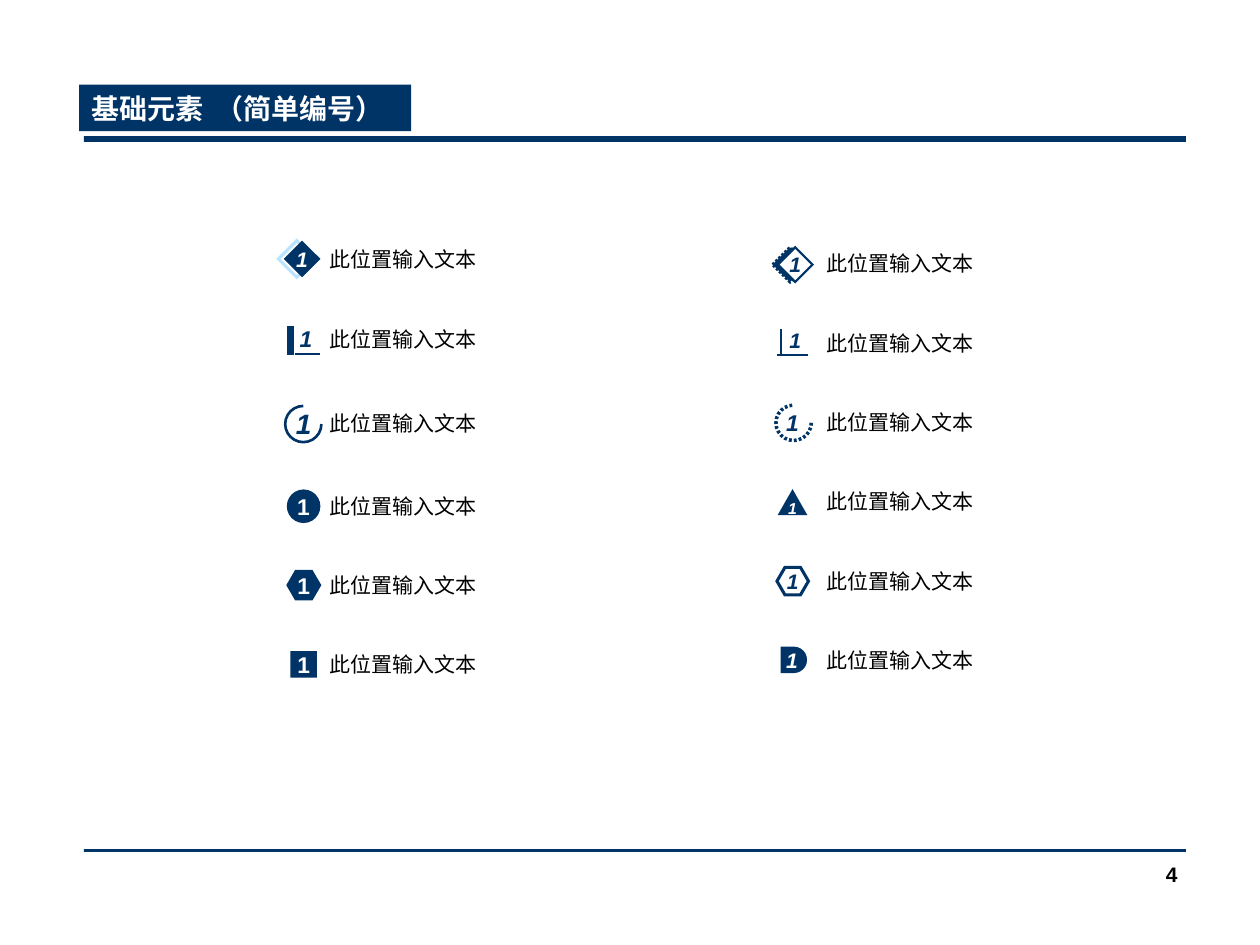
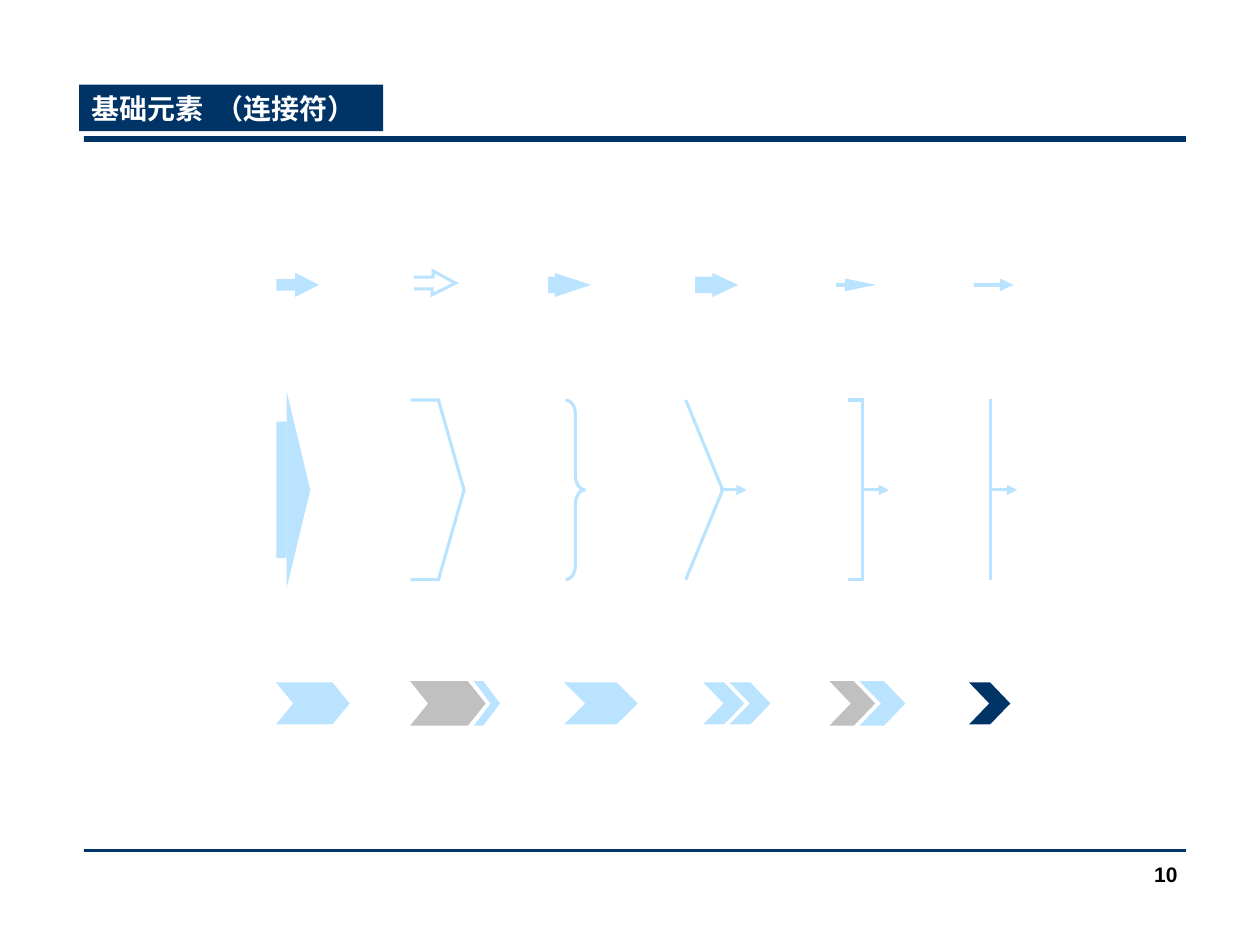
import dataclasses

import lxml.etree
import pptx
import pptx.dml.color
import pptx.enum.shapes
import pptx.enum.text
import pptx.oxml.ns
import pptx.util

Pt = pptx.util.Pt
qn = pptx.oxml.ns.qn
Kind = pptx.enum.shapes.MSO_SHAPE
Align = pptx.enum.text.PP_ALIGN
Anchor = pptx.enum.text.MSO_ANCHOR


@dataclasses.dataclass(frozen=True)
class Theme:
    navy: str = "003366"
    sky: str = "B9E3FF"
    gray: str = "C0C0C0"
    white: str = "FFFFFF"
    black: str = "000000"
    font: str = "Arial"
    title: int = 16
    body: int = 12
    mark: int = 13
    large: int = 16
    tiny: int = 9
    stroke: float = 1.75


THEME = Theme()
LABEL = "此位置输入文本"


def tint(code):
    return pptx.dml.color.RGBColor.from_string(code)


def paint(shape, fill=None, line=None, width=THEME.stroke, dots=False):
    shape.shadow.inherit = False
    if fill:
        shape.fill.solid()
        shape.fill.fore_color.rgb = tint(fill)
    else:
        shape.fill.background()
    if line:
        shape.line.color.rgb = tint(line)
        shape.line.width = Pt(width)
        edge = shape._element.spPr.find(qn("a:ln"))
        if dots:
            dash = lxml.etree.SubElement(edge, qn("a:custDash"))
            lxml.etree.SubElement(dash, qn("a:ds"), d="80000", sp="60000")
        lxml.etree.SubElement(edge, qn("a:miter"), lim="800000")
    else:
        shape.line.fill.background()


def write(shape, text, size, color, bold=True, slant=False, align=Align.LEFT,
          anchor=Anchor.TOP, wrap=False, pad=3.6, stop=None):
    frame = shape.text_frame
    frame.text = text
    frame.word_wrap = wrap
    frame.vertical_anchor = anchor
    frame.margin_left = frame.margin_right = Pt(7.2)
    frame.margin_top = frame.margin_bottom = Pt(pad)
    para = frame.paragraphs[0]
    para.alignment = align
    if stop:
        tabs = lxml.etree.SubElement(para._p.get_or_add_pPr(), qn("a:tabLst"))
        lxml.etree.SubElement(tabs, qn("a:tab"), pos=str(Pt(stop)), algn="l")
    for run in para.runs:
        run.font.name = THEME.font
        run.font.size = Pt(size)
        run.font.bold = bold
        run.font.italic = slant
        run.font.color.rgb = tint(color)


def block(slide, kind, box, fill=None, line=None, width=THEME.stroke,
          dots=False, shape_by=(), turn=0):
    shape = slide.shapes.add_shape(kind, *map(Pt, box))
    for index, value in enumerate(shape_by):
        shape.adjustments[index] = value
    shape.rotation = turn
    paint(shape, fill, line, width, dots)
    return shape


def badge(slide, kind, box, size=THEME.body, color=THEME.white, slant=True,
          pad=3.6, **look):
    shape = block(slide, kind, box, **look)
    write(shape, "1", size, color, slant=slant, align=Align.CENTER,
          anchor=Anchor.MIDDLE, pad=pad)


def note(slide, box, text, size, color, **style):
    write(slide.shapes.add_textbox(*map(Pt, box)), text, size, color, **style)


def digit(slide, box, size):
    note(slide, box, "1", size, THEME.navy, slant=True, wrap=True)


def label(slide, left, top):
    note(slide, (left, top, 100, 21.6), LABEL, THEME.body, THEME.black,
         bold=False, align=Align.RIGHT)


def rule(slide, start, end, color, width=THEME.stroke, arrow=False):
    line = slide.shapes.add_connector(
        pptx.enum.shapes.MSO_CONNECTOR.STRAIGHT, *map(Pt, start + end))
    line.line.color.rgb = tint(color)
    line.line.width = Pt(width)
    props = line._element.spPr
    if arrow:
        lxml.etree.SubElement(props.find(qn("a:ln")), qn("a:tailEnd"),
                              type="triangle")
    lxml.etree.SubElement(props, qn("a:effectLst"))


def trace(slide, points, close=False, **look):
    spots = [(Pt(x), Pt(y)) for x, y in points]
    pen = slide.shapes.build_freeform(*spots[0], scale=1.0)
    pen.add_line_segments(spots[1:], close=close)
    paint(pen.convert_to_shape(), **look)


def chevron(slide, left, width, depth, fill, line=None):
    top, mid, base = 390, 402, 413.9
    right = left + width
    trace(slide, [(left, top), (right - depth, top), (right, mid),
                  (right - depth, base), (left, base), (left + depth, mid)],
          close=True, fill=fill, line=line, width=1.5)


def frame(deck, title, width, number):
    slide = deck.slides.add_slide(deck.slide_layouts[6])
    for top, height in ((77.8, 3.3), (485.2, 1.6)):
        block(slide, Kind.RECTANGLE, (48, top, 629.7, height), THEME.navy)
    head = block(slide, Kind.RECTANGLE, (45.2, 48.4, width, 26.5), THEME.navy)
    write(head, title, THEME.title, THEME.white, pad=4.1, stop=71)
    note(slide, (530, 488.6, 150, 36), number, THEME.body, THEME.black,
         align=Align.RIGHT, wrap=True)
    return slide


def left_marks(slide):
    navy = THEME.navy
    block(slide, Kind.DIAMOND, (159.1, 137.5, 20.9, 20.9), line=THEME.sky)
    badge(slide, Kind.DIAMOND, (162.2, 137.5, 20.9, 20.9), fill=navy)
    digit(slide, (164.2, 182.2, 18.7, 23), THEME.mark)
    rule(slide, (166.2, 186.5), (166.2, 203), navy, 4)
    rule(slide, (168.7, 202.5), (182.8, 202.5), navy, 1)
    block(slide, Kind.ARC, (163, 232, 20.7, 20.7), line=navy, width=1.5,
          shape_by=(0, 162))
    digit(slide, (162, 228.6, 23, 26.6), THEME.large)
    plain = dict(size=THEME.mark, slant=False, fill=navy)
    badge(slide, Kind.OVAL, (164.4, 280.2, 18.2, 18.2), line=navy, width=1,
          **plain)
    badge(slide, Kind.HEXAGON, (164.6, 326.5, 18, 15.8), line=navy,
          shape_by=(0.29,), **plain)
    badge(slide, Kind.RECTANGLE, (166, 372.1, 15.1, 15.1), **plain)


def right_marks(slide):
    navy, white = THEME.navy, THEME.white
    block(slide, Kind.DIAMOND, (441.5, 141.3, 19.8, 19.8), navy, navy,
          dots=True)
    badge(slide, Kind.DIAMOND, (444.5, 141.3, 19.8, 19.8), color=navy,
          fill=white, line=navy, width=1.25)
    rule(slide, (446.5, 188), (446.5, 203), navy, 1)
    rule(slide, (444.2, 203), (461.5, 203), navy, 1)
    badge(slide, Kind.RECTANGLE, (447.6, 187.7, 13.7, 13.7), color=navy,
          fill=white, line=white, width=0.75)
    block(slide, Kind.ARC, (443.4, 231.5, 20.2, 20.2), line=navy, width=2,
          dots=True, shape_by=(0, 162))
    digit(slide, (442.1, 229.9, 21.6, 23), THEME.mark)
    badge(slide, Kind.ISOSCELES_TRIANGLE, (444.4, 279.5, 17, 14.9),
          size=THEME.tiny, pad=1.4, fill=navy)
    badge(slide, Kind.HEXAGON, (444, 324.2, 18, 15.8), color=navy,
          fill=white, line=navy, shape_by=(0.29,))
    badge(slide, Kind.FLOWCHART_DELAY, (446.1, 369.5, 15.1, 15.1), fill=navy)


def arrows(slide):
    sky, mid = THEME.sky, 162.8
    for left, width, height, shaft, tip in (
            (157.9, 24.5, 13.7, 0.49, 1), (313.3, 24.5, 13.7, 0.69, 1.51),
            (397.3, 24.5, 13.7, 0.69, 1.07), (477.8, 22.8, 7.3, 0.32, 2.43),
            (556.4, 22.8, 7.3, 0.31, 1.07)):
        block(slide, Kind.RIGHT_ARROW, (left, mid - height / 2, width, height),
              sky, shape_by=(shaft, tip))
    trace(slide, [(236.5, 158.4), (247.5, 158.4), (247.5, 154.8),
                  (260.3, 161.8), (247, 168.5), (247, 165.1),
                  (236.5, 165.1)], line=sky)


def joins(slide):
    sky, top, mid, base = THEME.sky, 228.6, 280, 331.2
    block(slide, Kind.ISOSCELES_TRIANGLE, (114.4, 273.2, 112.3, 13.5), sky,
          turn=90)
    block(slide, Kind.RECTANGLE, (157.9, 241, 6, 78), sky)
    trace(slide, [(234.7, top), (250.6, top), (265.2, mid), (250.6, base),
                  (234.7, base)], line=sky)
    block(slide, Kind.RIGHT_BRACE, (323.2, top, 11.2, base - top), line=sky,
          shape_by=(0.72, 0.5))
    trace(slide, [(391.9, top), (413, mid), (391.9, base)], line=sky)
    trace(slide, [(484.6, top), (492.8, top), (492.8, base), (484.6, base)],
          line=sky)
    rule(slide, (566, top - 0.4), (566, base), sky)
    for left in (411.4, 492.8, 566):
        rule(slide, (left, mid), (left + 15.3, mid), sky, arrow=True)


def chevrons(slide):
    sky, gray = THEME.sky, THEME.gray
    for left, width, depth, fill, edge in (
            (157.8, 42, 9.8, sky, None), (236, 40.6, 9.6, gray, gray),
            (272.3, 12.5, 9, sky, sky), (322.4, 42, 12, sky, None),
            (402, 23.3, 11.5, sky, None), (417, 23.3, 11.5, sky, None),
            (475.8, 23.3, 11.5, gray, gray), (493, 23.3, 11.5, sky, sky),
            (553.8, 23.5, 11.5, THEME.navy, None)):
        chevron(slide, left, width, depth, fill, edge)


def main():
    deck = pptx.Presentation()
    deck.slide_width, deck.slide_height = Pt(720), Pt(540)
    slide = frame(deck, "基础元素\t（简单编号）", 189.8, "4")
    left_marks(slide)
    right_marks(slide)
    for row, top in enumerate((137.1, 183.1, 231.1, 278.7, 323.6, 368.8)):
        label(slide, 179.4, top)
        label(slide, 463.4, 139.7 + 45.36 * row)
    slide = frame(deck, "基础元素\t（连接符）", 173.8, "10")
    arrows(slide)
    joins(slide)
    chevrons(slide)
    deck.save("out.pptx")


if __name__ == "__main__":
    main()
